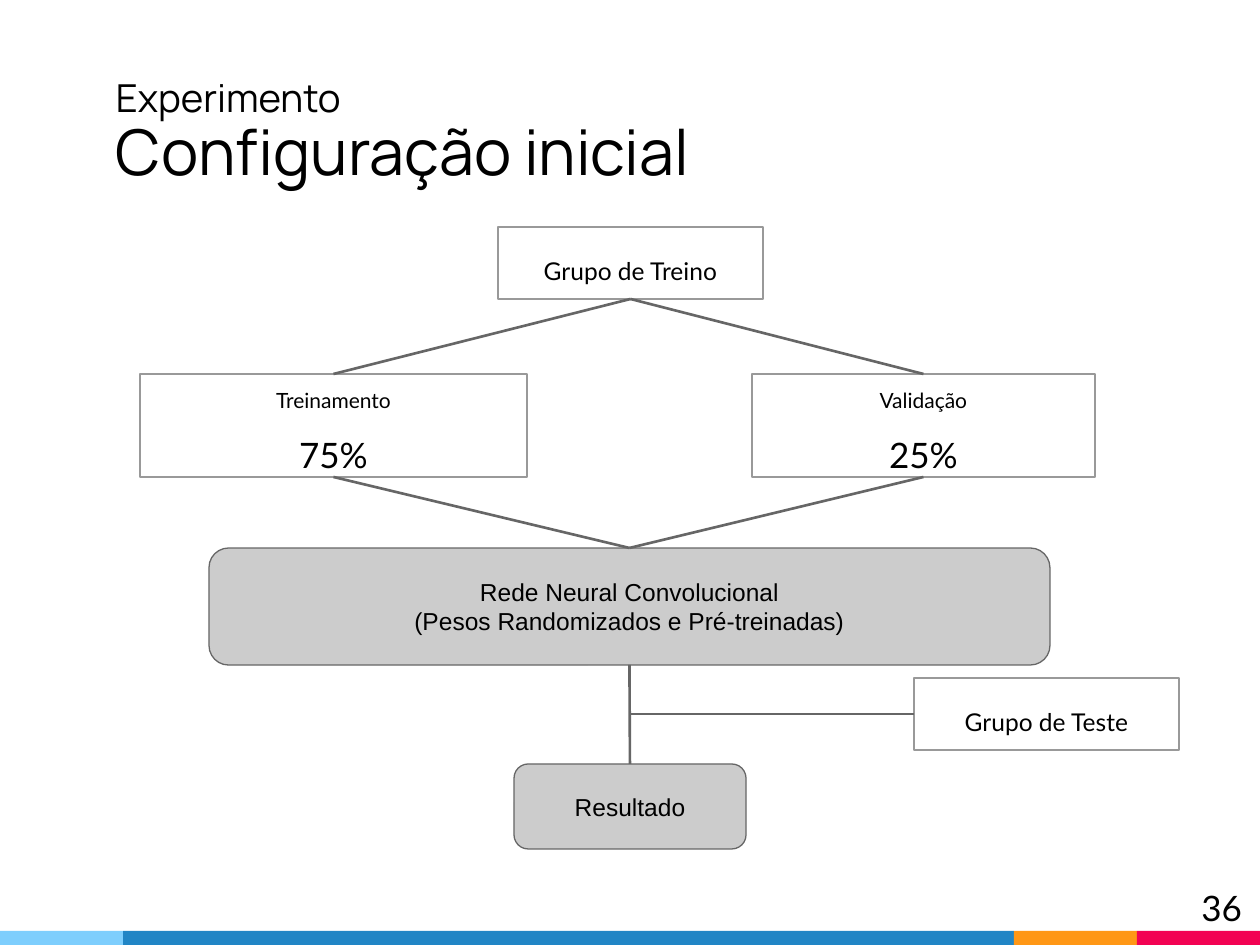
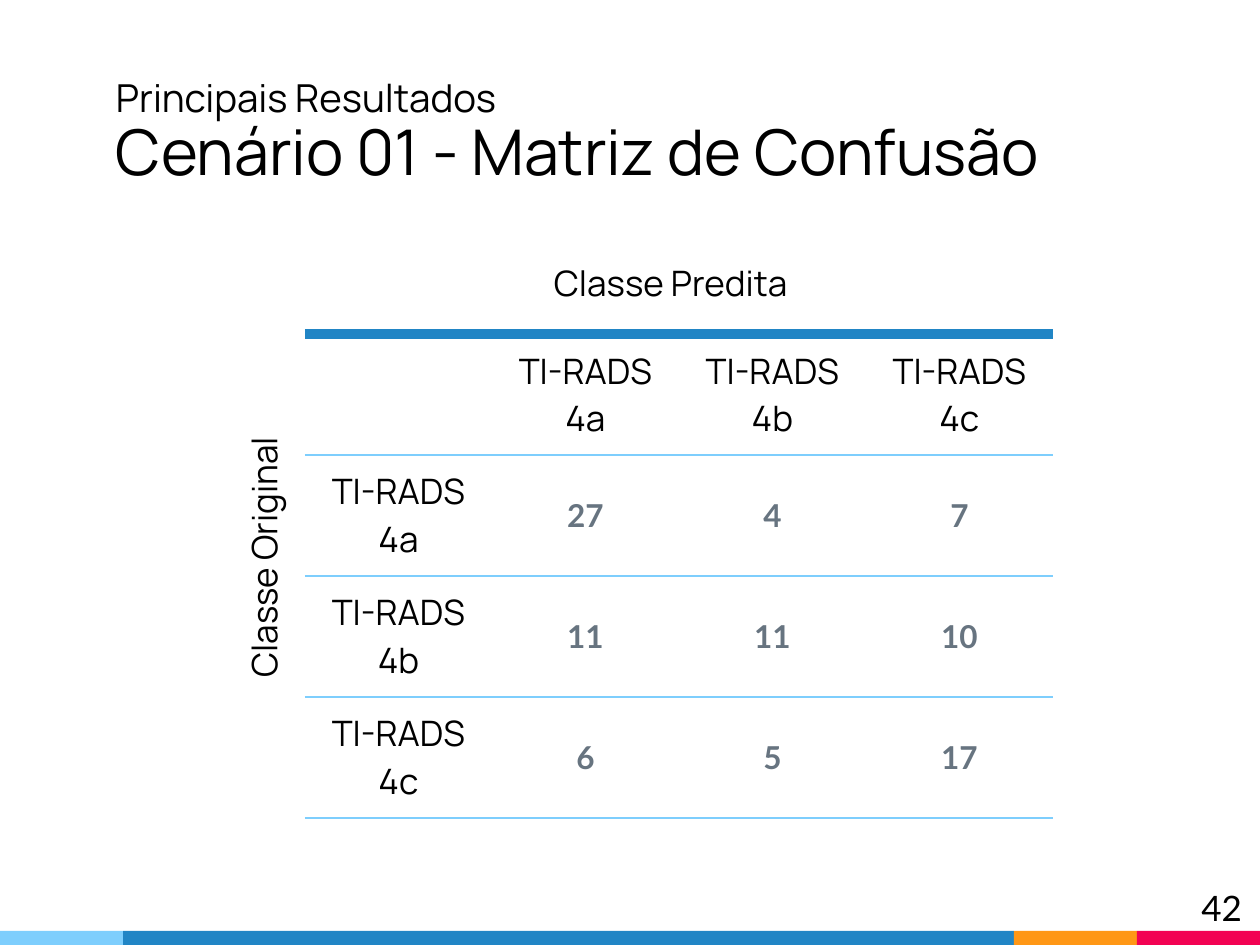
from dataclasses import dataclass

from lxml import etree
from pptx import Presentation
from pptx.dml.color import RGBColor
from pptx.enum.shapes import MSO_CONNECTOR, MSO_SHAPE
from pptx.enum.text import MSO_ANCHOR, MSO_AUTO_SIZE, PP_ALIGN
from pptx.oxml.ns import qn
from pptx.util import Emu, Pt

RECTANGLE, ROUNDED = MSO_SHAPE.RECTANGLE, MSO_SHAPE.ROUNDED_RECTANGLE
STRAIGHT = MSO_CONNECTOR.STRAIGHT
LEFT, CENTER, RIGHT = PP_ALIGN.LEFT, PP_ALIGN.CENTER, PP_ALIGN.RIGHT
TOP, MIDDLE, BOTTOM = MSO_ANCHOR.TOP, MSO_ANCHOR.MIDDLE, MSO_ANCHOR.BOTTOM
NO_AUTOSIZE = MSO_AUTO_SIZE.NONE
SITE_TOP, SITE_LEFT, SITE_BOTTOM = 0, 1, 2
EMU_PER_PX = 914400 / 126
SLIDE_WIDTH, SLIDE_HEIGHT = 1260, 945
TITLE_ONLY = 5


@dataclass(frozen=True)
class Theme:
    black: str = "000000"
    white: str = "FFFFFF"
    sky: str = "7ECEFD"
    blue: str = "2185C5"
    orange: str = "FF9715"
    red: str = "F20253"
    slate: str = "677480"
    node_fill: str = "CCCCCC"
    box_line: str = "999999"
    dark_line: str = "666666"
    heading_font: str = "Manrope"
    body_font: str = "Lato"
    node_font: str = "Arial"
    title_size: int = 36
    kicker_size: int = 22
    label_size: int = 20
    value_size: int = 18
    node_size: int = 14
    small_size: int = 12


THEME = Theme()


def px(length):
    return Emu(round(length * EMU_PER_PX))


def place(box):
    return [px(length) for length in box]


def shift(region, box):
    """Turn a box relative to a region into a box on the slide."""
    return region[0] + box[0], region[1] + box[1], box[2], box[3]


def color(value):
    return RGBColor.from_string(value)


def write(frame, lines, font, align=LEFT, anchor=TOP, spacing=None,
          ink=THEME.black, bold=False):
    """Write one paragraph for each (text, size) pair."""
    frame.word_wrap = True
    frame.vertical_anchor = anchor
    frame.margin_left = frame.margin_right = px(13)
    frame.margin_top = frame.margin_bottom = px(13)
    frame.text = "\n".join(text for text, size in lines)
    for paragraph, (text, size) in zip(frame.paragraphs, lines):
        paragraph.alignment = align
        if spacing:
            paragraph.line_spacing = spacing
        for run in paragraph.runs:
            run.font.name = font
            run.font.size = Pt(size)
            run.font.bold = bold
            run.font.color.rgb = color(ink)


# Parts shared by the slides

def add_label(slide, box, text, font=THEME.heading_font, align=LEFT):
    label = slide.shapes.add_textbox(*place(box))
    write(label.text_frame, [(text, THEME.label_size)], font, align)
    return label


def add_box(slide, box, kind=RECTANGLE, fill=None, line=None, width=1.5):
    shape = slide.shapes.add_shape(kind, *place(box))
    shape.shadow.inherit = False
    if fill:
        shape.fill.solid()
        shape.fill.fore_color.rgb = color(fill)
    else:
        shape.fill.background()
    if line:
        shape.line.color.rgb = color(line)
        shape.line.width = Pt(width)
    else:
        shape.line.fill.background()
    return shape


def add_footer_band(slide, master, box):
    """Draw the coloured band and move it to the master."""
    left, top, width, height = box
    end = 123
    segments = [(THEME.sky, end), (THEME.blue, width - 3 * end),
                (THEME.orange, end), (THEME.red, end)]
    for fill, length in segments:
        segment = add_box(slide, (left, top, length, height), fill=fill)
        master.shapes.element.append(segment.element)
        left += length


def add_titled_slide(presentation, kicker, heading, number):
    slide = presentation.slides.add_slide(presentation.slide_layouts[TITLE_ONLY])
    title = slide.shapes.title
    title.left, title.top, title.width, title.height = place((103, 38, 1150, 157))
    frame = title.text_frame
    frame.auto_size = NO_AUTOSIZE
    write(frame, [(kicker, THEME.kicker_size), (heading, THEME.title_size)],
          THEME.heading_font, anchor=BOTTOM, spacing=0.9)
    frame.margin_bottom = px(6)
    add_label(slide, (1179, 873, 76, 72), str(number), THEME.body_font, RIGHT)
    return slide


# Flow diagram

def add_group_box(slide, box, lines):
    """Outlined box whose text has a white highlight."""
    shape = add_box(slide, box, line=THEME.box_line)
    write(shape.text_frame, lines, THEME.body_font, CENTER, MIDDLE, 1.5)
    for properties in shape.element.iter(qn("a:rPr")):
        highlight = etree.Element(qn("a:highlight"))
        etree.SubElement(highlight, qn("a:srgbClr"), val=THEME.white)
        properties.find(qn("a:latin")).addprevious(highlight)
    return shape


def add_node(slide, box, texts):
    """Grey rounded box."""
    shape = add_box(slide, box, ROUNDED, THEME.node_fill, THEME.dark_line, 0.75)
    write(shape.text_frame, [(text, THEME.node_size) for text in texts],
          THEME.node_font, CENTER, MIDDLE)
    return shape


def add_line(slide, start, end):
    """Join two (shape, site) ends; the start may also be an (x, y) point in px."""
    origin, site = start
    free = isinstance(origin, int)
    x, y = (px(origin), px(site)) if free else (0, 0)
    line = slide.shapes.add_connector(STRAIGHT, x, y, x, y)
    if not free:
        line.begin_connect(origin, site)
    line.end_connect(*end)
    line.line.color.rgb = color(THEME.dark_line)
    line.line.width = Pt(1.5)
    etree.SubElement(line.element.find(qn("p:spPr")), qn("a:effectLst"))


def add_experiment_flow(slide, region):
    def split(box, name, share):
        return add_group_box(slide, shift(region, box),
                             [(name, THEME.small_size), (share, THEME.label_size)])

    def group(box, name):
        return add_group_box(slide, shift(region, box), [(name, THEME.node_size)])

    training = split((0, 147, 387, 103), "Treinamento", "75%")
    validation = split((612, 147, 343, 103), "Validação", "25%")
    train_group = group((358, 0, 265, 72), "Grupo de Treino")
    test_group = group((774, 451, 265, 72), "Grupo de Teste")
    network = add_node(slide, shift(region, (69, 321, 841, 117)),
                       ["Rede Neural Convolucional",
                        "(Pesos Randomizados e Pré-treinadas)"])
    result = add_node(slide, shift(region, (374, 537, 232, 85)), ["Resultado"])

    for part in (training, validation):
        add_line(slide, (train_group, SITE_BOTTOM), (part, SITE_TOP))
        add_line(slide, (part, SITE_BOTTOM), (network, SITE_TOP))
    add_line(slide, (network, SITE_BOTTOM), (result, SITE_TOP))
    add_line(slide, (region[0] + 490, region[1] + 487), (test_group, SITE_LEFT))


# Confusion matrix

def set_cell_borders(properties, top, bottom):
    """Borders are (colour, points) pairs; the sides stay open."""
    borders = [("a:lnL", None), ("a:lnR", None), ("a:lnT", top), ("a:lnB", bottom)]
    for position, (tag, border) in enumerate(borders):
        line = etree.Element(qn(tag))
        if border:
            line.set("w", str(Pt(border[1])))
            fill = etree.SubElement(line, qn("a:solidFill"))
            etree.SubElement(fill, qn("a:srgbClr"), val=border[0])
        else:
            line.set("w", "0")
            etree.SubElement(line, qn("a:noFill"))
        properties.insert(position, line)


def add_confusion_matrix(slide, region, classes, counts):
    rows = [["", *classes]]
    rows += [[name, *values] for name, values in zip(classes, counts)]
    size = len(rows)
    frame = slide.shapes.add_table(size, size, *place(region))
    table = frame.table
    table.first_row = table.horz_banding = False
    for column in table.columns:
        column.width = px(region[2] // size)
    for row in table.rows:
        row.height = px(region[3] // size)
    for row_index, values in enumerate(rows):
        for column_index, value in enumerate(values):
            cell = table.cell(row_index, column_index)
            header = row_index == 0 or column_index == 0
            font, points, ink = (
                (THEME.heading_font, THEME.label_size, THEME.black) if header
                else (THEME.body_font, THEME.value_size, THEME.slate))
            write(cell.text_frame, [(str(value), points)], font, CENTER,
                  ink=ink, bold=not header)
            cell.vertical_anchor = MIDDLE
            cell.margin_left = cell.margin_right = px(12)
            cell.margin_top = cell.margin_bottom = px(12)
            cell.fill.background()
    thin, thick = (THEME.sky, 0.75), (THEME.blue, 6)
    for index, properties in enumerate(frame.element.iter(qn("a:tcPr"))):
        set_cell_borders(properties, thick if index < size else thin, thin)

    # Axis labels
    left, top = region[:2]
    label_width, label_height = 276, 69
    add_label(slide, (left + 236, top - 86, label_width, label_height),
              "Classe Predita")
    original_label = add_label(
        slide, (left - 179, top + 184, label_width, label_height),
        "Classe Original")
    original_label.rotation = 270


def main():
    presentation = Presentation()
    presentation.slide_width = px(SLIDE_WIDTH)
    presentation.slide_height = px(SLIDE_HEIGHT)

    setup = add_titled_slide(presentation, "Experimento", "Configuração inicial", 36)
    add_footer_band(setup, presentation.slide_master, (0, 931, SLIDE_WIDTH, 14))
    add_experiment_flow(setup, (140, 227, 1040, 622))

    results = add_titled_slide(presentation, "Principais Resultados",
                               "Cenário 01 - Matriz de Confusão", 42)
    add_confusion_matrix(results, (305, 334, 748, 484),
                         ["TI-RADS 4a", "TI-RADS 4b", "TI-RADS 4c"],
                         [(27, 4, 7), (11, 11, 10), (6, 5, 17)])
    presentation.save("out.pptx")


if __name__ == "__main__":
    main()
